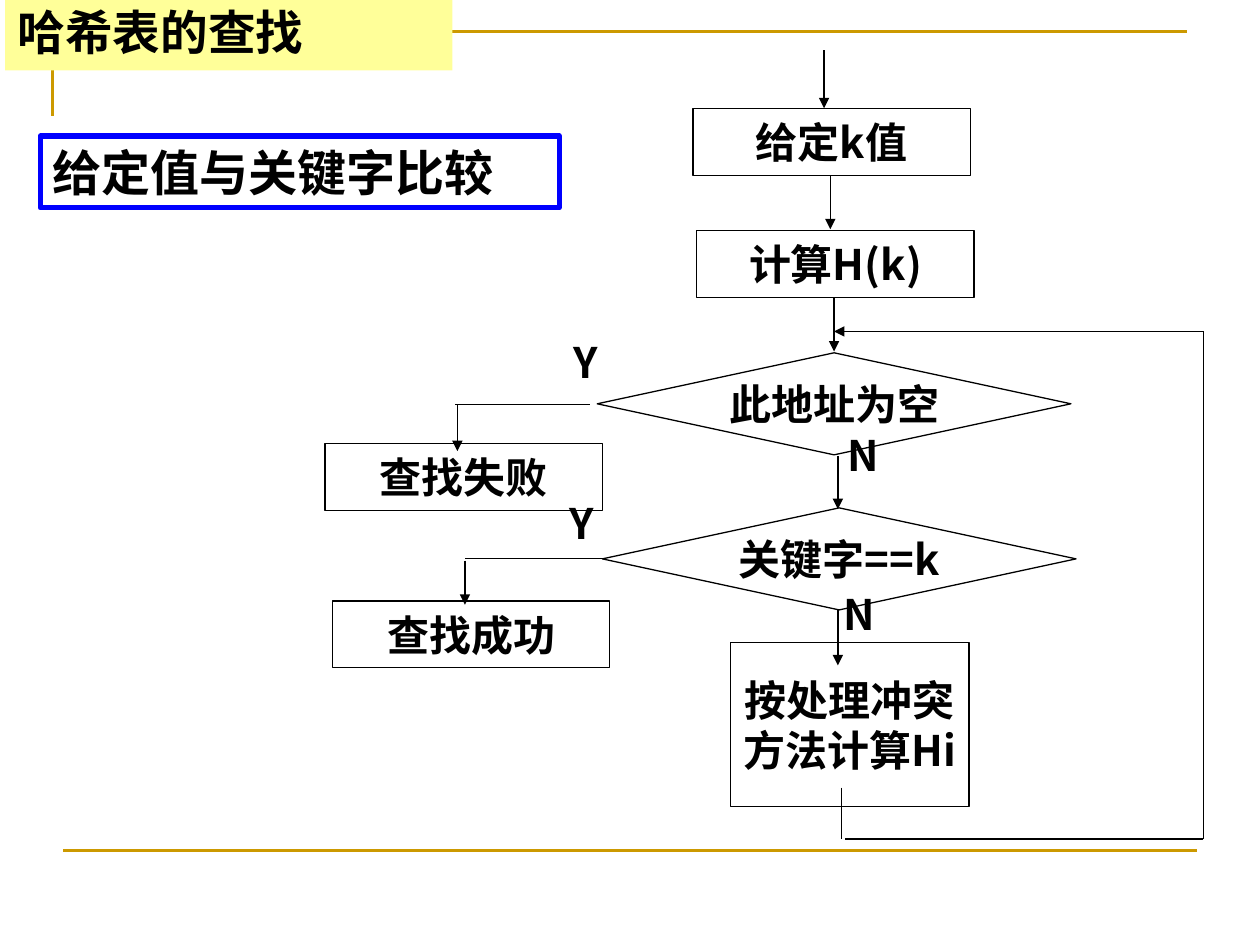
import pptx
import pptx.util
import pptx.dml.color
import pptx.enum.shapes
import pptx.enum.text
import pptx.oxml
import pptx.oxml.ns
from itertools import pairwise

Pt = pptx.util.Pt
RGBColor = pptx.dml.color.RGBColor
SHAPE = pptx.enum.shapes.MSO_SHAPE
ALIGN = pptx.enum.text.PP_ALIGN
ANCHOR = pptx.enum.text.MSO_ANCHOR
qn = pptx.oxml.ns.qn

FONT = "Noto Sans CJK SC"
BLACK = RGBColor(0, 0, 0)
BLUE = RGBColor(0, 0, 255)
GOLD = RGBColor(0xCC, 0x99, 0)
YELLOW = RGBColor(0xFF, 0xFF, 0x99)

# Content: flowchart nodes as (text lines, left, top)
PROCESS_SIZE = (158.4, 38.2)
DECISION_SIZE = (270.7, 58.3)
PROCESSES = [
    ("给定k值", 396, 61.9),
    ("计算H(k)", 398.2, 131.8),
    ("查找失败", 185.8, 253.4),
    ("查找成功", 190.1, 343.4),
]
DECISIONS = [("此地址为空", 341.3, 201.6), ("关键字==k", 344.2, 290.2)]
REHASH = "按处理冲突\n方法计算Hi"
LABELS = [("Y", 320.4, 188.6), ("N", 477.4, 241.9),
          ("Y", 318.2, 280.8), ("N", 475.2, 332.6)]

# Vertical arrows as (x, top, bottom)
DOWN_ARROWS = [
    (470.9, 28.8, 61.9), (474.5, 100.1, 131), (476.6, 169.9, 200.9),
    (478.8, 260.6, 290.9), (478.8, 348.5, 380.2),
    (261.4, 231.1, 257.8), (265.7, 320.4, 345.6),
]
# Plain lines out of the decisions and the last step
BRANCHES = [(337, 231.1, 259.9, 231.1), (344.9, 319, 265.7, 319),
            (481, 450, 481, 479.5)]
LOOP_BACK = [(483.1, 479.5), (687.6, 479.5), (687.6, 189.4), (476.6, 189.4)]

prs = pptx.Presentation()
prs.slide_width, prs.slide_height = Pt(720), Pt(540)
s = prs.slides.add_slide(prs.slide_layouts[6])


def add_text(sp, text, size=24, align=ALIGN.LEFT, anchor=ANCHOR.TOP,
             wrap=False, spacing=None):
    tf = sp.text_frame
    tf.word_wrap = wrap
    tf.vertical_anchor = anchor
    tf.text = text
    for p in tf.paragraphs:
        p.alignment = align
        p.line_spacing = spacing
        for r in p.runs:
            r.font.name, r.font.size, r.font.bold = FONT, Pt(size), True
            r.font.color.rgb = BLACK
            ea = pptx.oxml.parse_xml(
                '<a:ea xmlns:a="http://schemas.openxmlformats.org/drawingml/2006/main"'
                f' typeface="{FONT}"/>')
            r.font._element.find(qn("a:latin")).addnext(ea)


def add_box(kind, left, top, width, height, text, fill=None, line=BLACK,
            weight=0.75, **text_format):
    sp = s.shapes.add_shape(kind, Pt(left), Pt(top), Pt(width), Pt(height))
    sp.shadow.inherit = False
    if fill is None:
        sp.fill.background()
    else:
        sp.fill.solid()
        sp.fill.fore_color.rgb = fill
    if line is None:
        sp.line.fill.background()
    else:
        sp.line.color.rgb = line
        sp.line.width = Pt(weight)
    add_text(sp, text, **text_format)


def add_line(x1, y1, x2, y2, arrow=False, color=BLACK, weight=0.75):
    line = s.shapes.add_connector(pptx.enum.shapes.MSO_CONNECTOR.STRAIGHT,
                                  Pt(x1), Pt(y1), Pt(x2), Pt(y2))
    line.line.color.rgb = color
    line.line.width = Pt(weight)
    if arrow:
        ln = line.line._get_or_add_ln()
        ln.append(ln.makeelement(qn("a:tailEnd"), {"type": "triangle"}))
    sp_pr = line._element.spPr
    sp_pr.append(sp_pr.makeelement(qn("a:effectLst"), {}))


# Gold frame lines
builder = s.shapes.build_freeform(Pt(30.2), Pt(66.2))
builder.add_line_segments([(Pt(30.2), Pt(18)), (Pt(678.2), Pt(18))], close=False)
frame = builder.convert_to_shape()
frame.shadow.inherit = False
frame.fill.background()
frame.line.color.rgb = GOLD
frame.line.width = Pt(1.5)
add_line(36, 486, 684, 486, color=GOLD, weight=1.5)

# Title
add_box(SHAPE.RECTANGLE, 2.9, 0, 255.6, 40.3, "哈希表的查找", fill=YELLOW,
        line=None, size=27.2, anchor=ANCHOR.MIDDLE, wrap=True, spacing=0.9)

# Flowchart nodes
node = {"align": ALIGN.CENTER, "anchor": ANCHOR.MIDDLE}
for kind, size, items in ((SHAPE.FLOWCHART_PROCESS, PROCESS_SIZE, PROCESSES),
                          (SHAPE.FLOWCHART_DECISION, DECISION_SIZE, DECISIONS)):
    for text, left, top in items:
        add_box(kind, left, top, *size, text, **node)
add_box(SHAPE.FLOWCHART_PROCESS, 417.6, 367.2, 136.1, 93.6, REHASH,
        wrap=True, **node)

# Arrows, branches and the loop back
for x, top, bottom in DOWN_ARROWS:
    add_line(x, top, x, bottom, arrow=True)
for ends in BRANCHES:
    add_line(*ends)
for start, end in pairwise(LOOP_BACK):
    add_line(*start, *end, arrow=end == LOOP_BACK[-1])

# Yes / no labels
for text, left, top in LABELS:
    width = 29.5 if text == "Y" else 33.8
    add_text(s.shapes.add_textbox(Pt(left), Pt(top), Pt(width), Pt(36)), text)

# Caption
add_box(SHAPE.RECTANGLE, 23, 77.8, 296.6, 41, "给定值与关键字比较",
        line=BLUE, weight=3, size=28, wrap=True)

prs.save("out.pptx")
